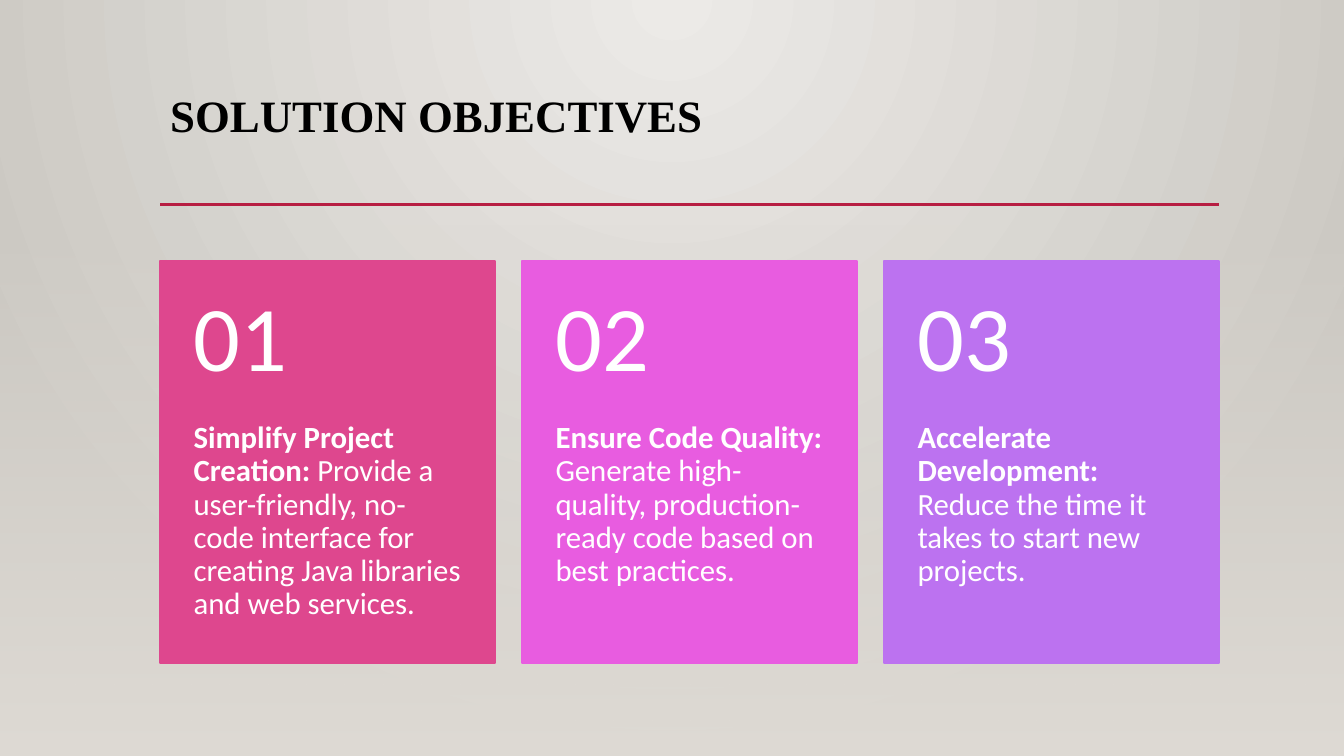
"""Build the solution objectives slide with three numbered cards."""
import lxml.etree
import pptx
import pptx.dml.color
import pptx.enum.shapes
import pptx.enum.text
import pptx.oxml.ns
import pptx.util

WIDTH, HEIGHT = 13.33, 7.5
LEFT, CONTENT_WIDTH = 1.59, 10.5
CARD_TOP, CARD_WIDTH, CARD_HEIGHT = 2.59, 3.32, 3.99
CARD_STEP = (CONTENT_WIDTH - CARD_WIDTH) / 2
NUMBER_HEIGHT = 0.4 * CARD_HEIGHT
OBJECTIVES = [
    ("DE478E", "Simplify Project Creation:",
     " Provide a user-friendly, no-code interface for creating Java libraries and web services."),
    ("E85CE0", "Ensure Code Quality:",
     " Generate high-quality, production-ready code based on best practices."),
    ("BC72F0", "Accelerate Development:",
     " Reduce the time it takes to start new projects."),
]


def color(value):
    return pptx.dml.color.RGBColor.from_string(value)


def inches(*lengths):
    return [pptx.util.Inches(length) for length in lengths]


def add_child(parent, tag, **attributes):
    return lxml.etree.SubElement(parent, pptx.oxml.ns.qn(tag), attributes)


def set_gradient(fill, start, end):
    fill.gradient()
    for stop, value in zip(fill.gradient_stops, (start, end)):
        stop.color.rgb = color(value)


def add_backdrop(slide):
    set_gradient(slide.background.fill, "ECEAE7", "CAC7C1")
    gradient = slide.element.xpath(".//p:bgPr/a:gradFill")[0]
    gradient.remove(gradient.xpath("a:lin")[0])
    circle = add_child(gradient, "a:path")
    circle.set("path", "circle")
    add_child(circle, "a:fillToRect", l="43000", t="0", r="43000", b="100000")


def add_rectangle(slide, left, top, width, height):
    shape = slide.shapes.add_shape(
        pptx.enum.shapes.MSO_SHAPE.RECTANGLE, *inches(left, top, width, height))
    shape.shadow.inherit = False
    return shape


def add_veil(slide):
    top = 2.21
    veil = add_rectangle(slide, 0, top, WIDTH, HEIGHT - top)
    veil.line.fill.background()
    set_gradient(veil.fill, "DFDBD5", "DFDBD5")
    veil.fill.gradient_angle = 270
    first_color = veil.element.xpath(".//a:gradFill//a:srgbClr")[0]
    add_child(first_color, "a:alpha", val="0")


def add_rule(slide, top):
    rule = slide.shapes.add_connector(
        pptx.enum.shapes.MSO_CONNECTOR.STRAIGHT,
        *inches(LEFT, top, LEFT + CONTENT_WIDTH, top))
    rule.line.color.rgb = color("B71E42")
    rule.line.width = pptx.util.Pt(2.5)
    add_child(rule.element.spPr, "a:effectLst")


def add_text(slide, box, runs, *, size, font="Calibri", text_color="FFFFFF",
             insets=(0.1, 0.05, 0.1, 0.05), middle=False):
    frame = slide.shapes.add_textbox(*inches(*box)).text_frame
    frame.word_wrap = True
    anchor = pptx.enum.text.MSO_ANCHOR
    frame.vertical_anchor = anchor.MIDDLE if middle else anchor.TOP
    (frame.margin_left, frame.margin_top,
     frame.margin_right, frame.margin_bottom) = inches(*insets)
    paragraph = frame.paragraphs[0]
    paragraph.line_spacing = 0.9
    for text, bold in runs:
        run = paragraph.add_run()
        run.text = text
        run.font.name = font
        run.font.size = pptx.util.Pt(size)
        run.font.bold = bold
        run.font.color.rgb = color(text_color)


def add_card(slide, index, card_color, heading, detail):
    left = LEFT + index * CARD_STEP
    card = add_rectangle(slide, left, CARD_TOP, CARD_WIDTH, CARD_HEIGHT)
    card.fill.solid()
    card.fill.fore_color.rgb = color(card_color)
    card.line.color.rgb = color(card_color)
    card.line.width = pptx.util.Pt(1.25)
    add_text(slide, (left, CARD_TOP + NUMBER_HEIGHT, CARD_WIDTH, CARD_HEIGHT - NUMBER_HEIGHT),
             [(heading, True), (detail, False)], size=22, insets=(0.33, 0, 0.33, 0.36))
    add_text(slide, (left, CARD_TOP, CARD_WIDTH, NUMBER_HEIGHT),
             [(f"{index + 1:02}", False)], size=66,
             insets=(0.33, 0.18, 0.33, 0.18), middle=True)


def main():
    presentation = pptx.Presentation()
    presentation.slide_width, presentation.slide_height = inches(WIDTH, HEIGHT)
    slide = presentation.slides.add_slide(presentation.slide_layouts[6])
    add_backdrop(slide)
    add_text(slide, (LEFT, 0.88, CONTENT_WIDTH, 1.15), [("SOLUTION OBJECTIVES", True)],
             size=32, font="Times New Roman", text_color="000000")
    add_rule(slide, 2.03)
    add_veil(slide)
    for index, objective in enumerate(OBJECTIVES):
        add_card(slide, index, *objective)
    presentation.save("out.pptx")


if __name__ == "__main__":
    main()
